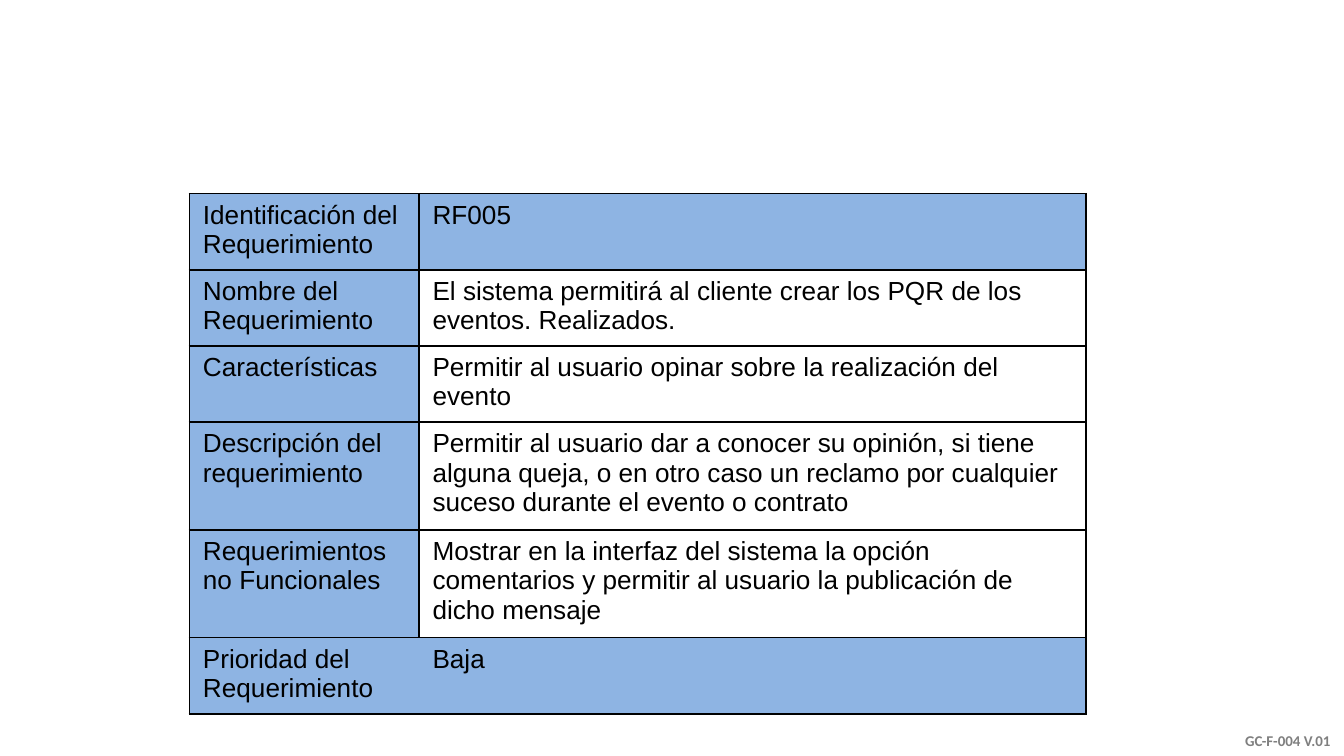
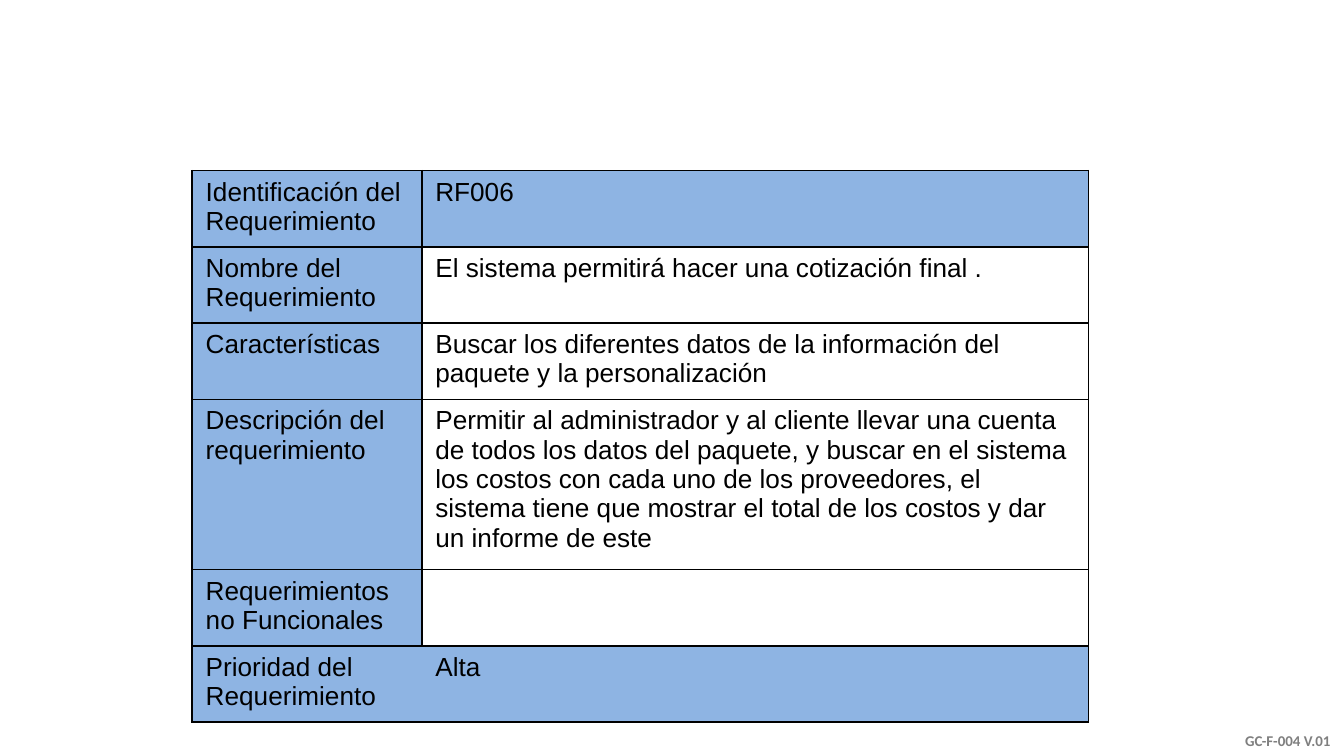
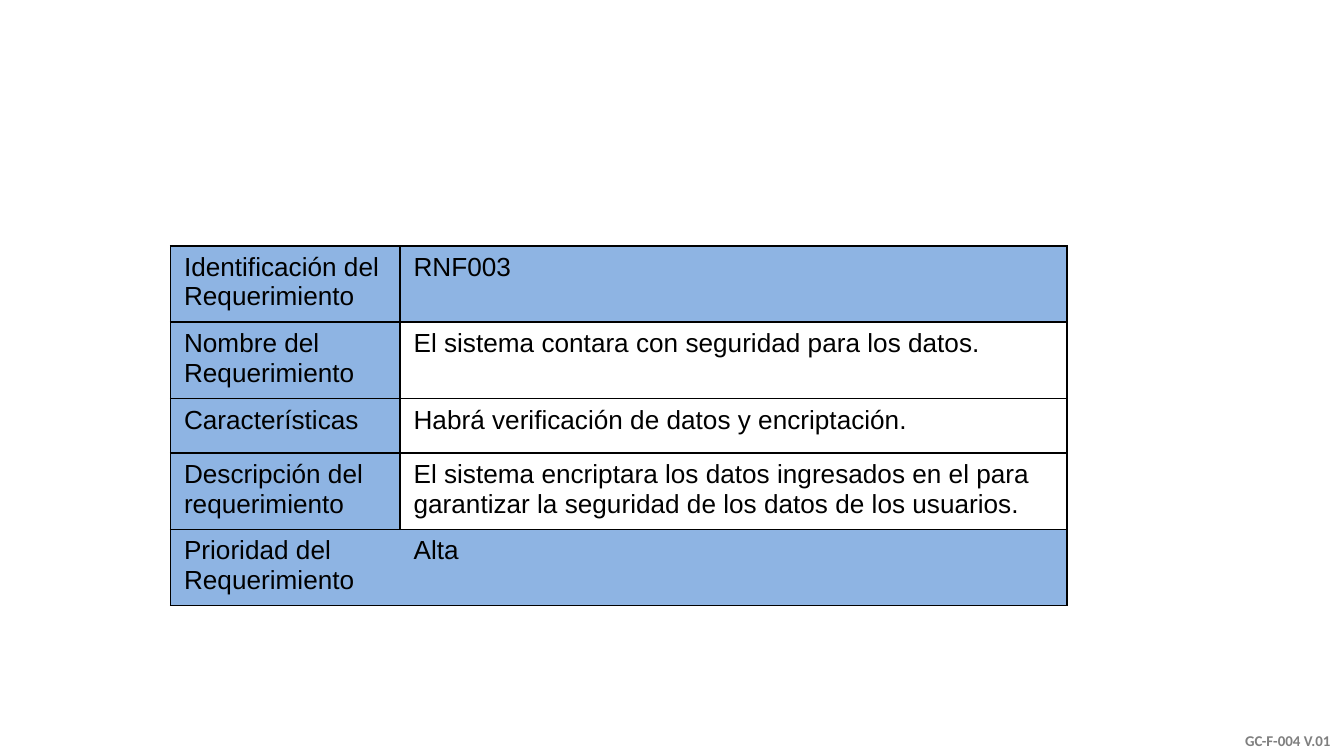
from lxml import etree
from pptx import Presentation
from pptx.dml.color import RGBColor
from pptx.enum import text
from pptx.oxml import ns
from pptx.util import Pt

COLORS = {"band": "8EB4E3", "ink": "000000", "footer": "7F7F7F"}

IDENTIFIER = "Identificación del Requerimiento"
NAME = "Nombre del Requerimiento"
FEATURES = "Características"
DESCRIPTION = "Descripción del requerimiento"
NON_FUNCTIONAL = "Requerimientos no Funcionales"
PRIORITY = "Prioridad del Requerimiento"

REQUIREMENTS = [
    (101.5, 103.7, [
        (IDENTIFIER, "RF005", 2),
        (NAME, "El sistema permitirá al cliente crear los PQR de los eventos. Realizados.", 2),
        (FEATURES, "Permitir al usuario opinar sobre la realización del evento", 2),
        (DESCRIPTION, "Permitir al usuario dar a conocer su opinión, si tiene alguna queja, "
                      "o en otro caso un reclamo por cualquier suceso durante el evento o contrato", 3),
        (NON_FUNCTIONAL, "Mostrar en la interfaz del sistema la opción comentarios y permitir "
                         "al usuario la publicación de dicho mensaje", 3),
        (PRIORITY, "Baja", 2),
    ]),
    (103, 91.4, [
        (IDENTIFIER, "RF006", 2),
        (NAME, "El sistema permitirá hacer una cotización final .", 2),
        (FEATURES, "Buscar los diferentes datos de la información del paquete y la personalización", 2),
        (DESCRIPTION, "Permitir al administrador y al cliente llevar una cuenta de todos los datos "
                      "del paquete, y buscar en el sistema los costos con cada uno de los proveedores, "
                      "el sistema tiene que mostrar el total de los costos y dar un informe de este", 5),
        (NON_FUNCTIONAL, "", 2),
        (PRIORITY, "Alta", 2),
    ]),
    (91.4, 131.8, [
        (IDENTIFIER, "RNF003", 2),
        (NAME, "El sistema contara con seguridad para los datos.", 2),
        (FEATURES, "Habrá verificación de datos y encriptación.", 1),
        (DESCRIPTION, "El sistema encriptara los datos ingresados en el para garantizar "
                      "la seguridad de los datos de los usuarios.", 2),
        (PRIORITY, "Alta", 2),
    ]),
]


class Deck:
    COLUMN_WIDTHS = (123, 357.2)
    MIN_ROW = 29.3
    LINE_HEIGHT = 16.8
    CELL_PADDING = 7.2

    def __init__(self):
        self.prs = Presentation()
        self.prs.slide_width, self.prs.slide_height = Pt(720), Pt(405)
        self.slide = None

    def new_slide(self):
        self.slide = self.prs.slides.add_slide(self.prs.slide_layouts[6])
        self.footer("GC-F-004 V.01")

    def style(self, paragraph, font_name, size, color, bold=False):
        for font in [paragraph.font] + [run.font for run in paragraph.runs]:
            font.name, font.size, font.bold = font_name, Pt(size), bold
            font.color.rgb = RGBColor.from_string(COLORS[color])

    def footer(self, code):
        frame = self.slide.shapes.add_textbox(Pt(602.6), Pt(374.4), Pt(117.4), Pt(30.6)).text_frame
        frame.word_wrap = True
        frame.vertical_anchor = text.MSO_ANCHOR.BOTTOM
        frame.text = code
        frame.paragraphs[0].alignment = text.PP_ALIGN.RIGHT
        self.style(frame.paragraphs[0], "Calibri", 8, "footer", bold=True)

    def borders(self, cell, hidden):
        properties = cell._tc.get_or_add_tcPr()
        for side in "LRTB":
            line = etree.SubElement(properties, ns.qn(f"a:ln{side}"), w=str(Pt(1)))
            if side == hidden:
                etree.SubElement(line, ns.qn("a:noFill"))
            else:
                fill = etree.SubElement(line, ns.qn("a:solidFill"))
                etree.SubElement(fill, ns.qn("a:srgbClr"), val=COLORS["ink"])

    def cell(self, cell, content, banded, hidden):
        cell.text = content
        self.style(cell.text_frame.paragraphs[0], "Arial", 14, "ink")
        self.borders(cell, hidden)
        if banded:
            cell.fill.solid()
            cell.fill.fore_color.rgb = RGBColor.from_string(COLORS["band"])
        else:
            cell.fill.background()

    def requirement(self, left, top, entries):
        heights = [max(self.MIN_ROW, self.CELL_PADDING + self.LINE_HEIGHT * lines)
                   for _, _, lines in entries]
        table = self.slide.shapes.add_table(
            len(entries), 2, Pt(left), Pt(top), Pt(sum(self.COLUMN_WIDTHS)), Pt(sum(heights))).table
        table.first_row = table.horz_banding = False
        for column, width in zip(table.columns, self.COLUMN_WIDTHS):
            column.width = Pt(width)
        last = len(entries) - 1
        for index, (label, detail, _) in enumerate(entries):
            table.rows[index].height = Pt(heights[index])
            label_hidden, detail_hidden = ("R", "L") if index == last else (None, None)
            self.cell(table.cell(index, 0), label, True, label_hidden)
            self.cell(table.cell(index, 1), detail, index in (0, last), detail_hidden)


def main():
    deck = Deck()
    for left, top, entries in REQUIREMENTS:
        deck.new_slide()
        deck.requirement(left, top, entries)
    deck.prs.save("out.pptx")


if __name__ == "__main__":
    main()
